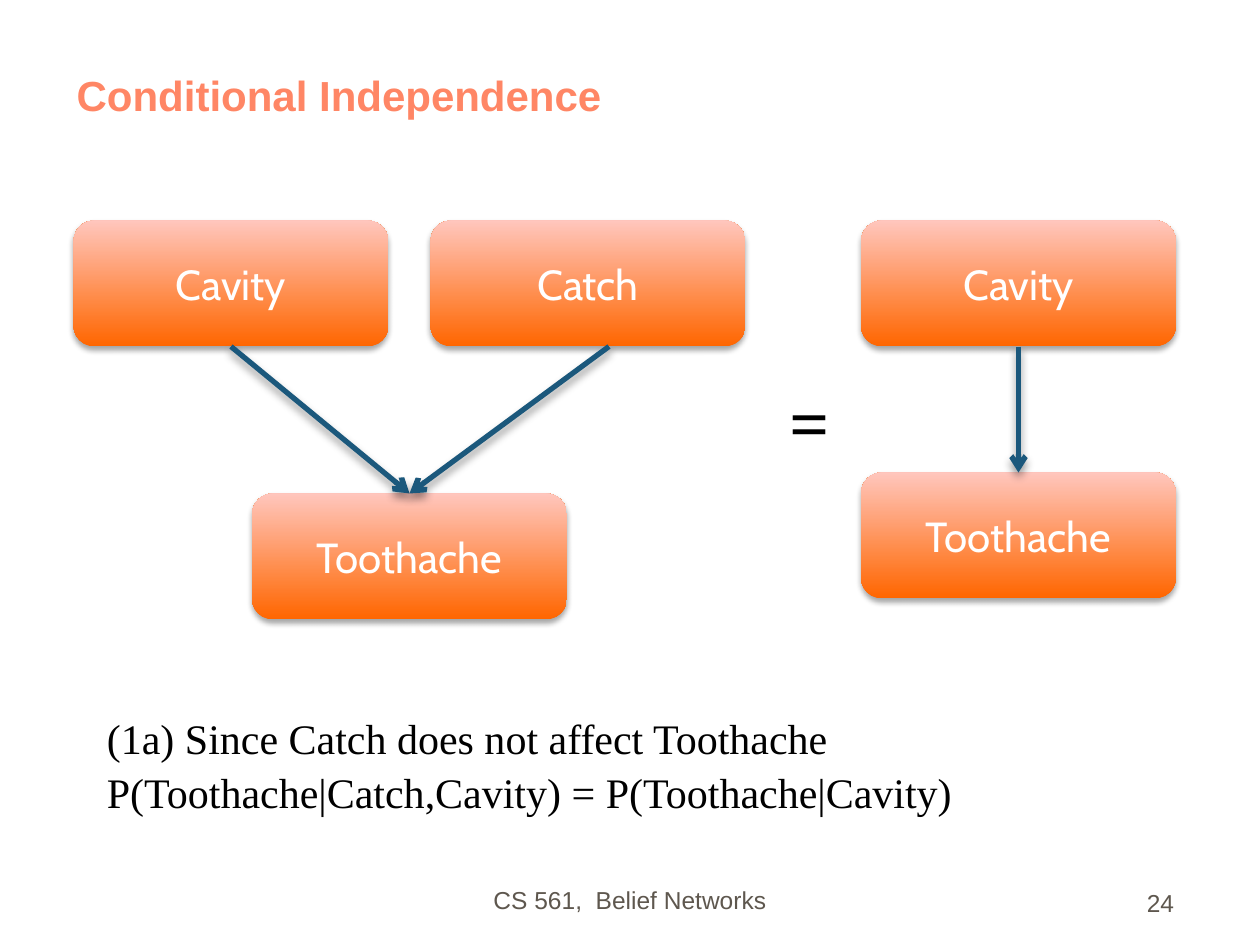
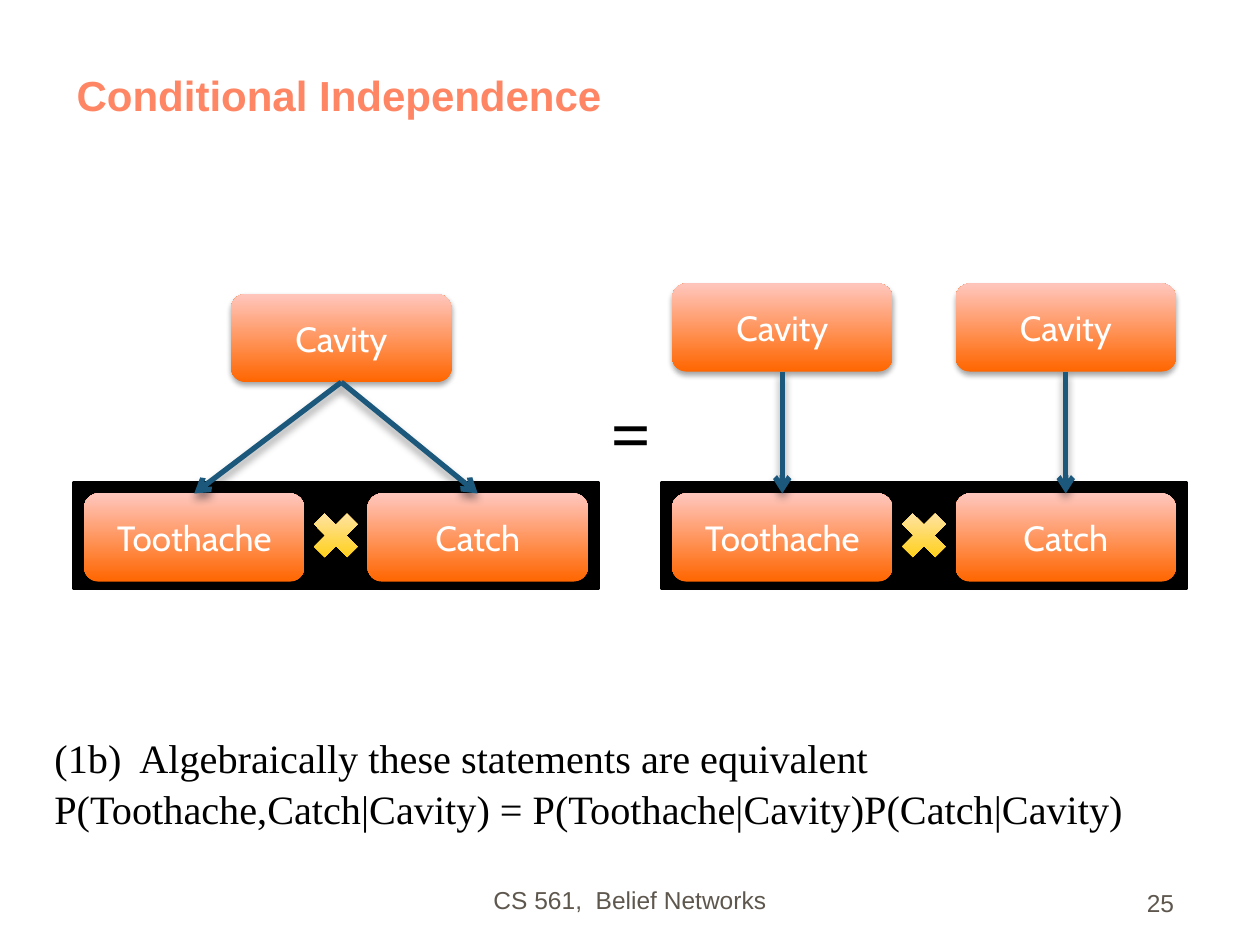
from dataclasses import dataclass

from lxml.etree import SubElement
from pptx import Presentation
from pptx.dml.color import RGBColor
from pptx.enum.shapes import MSO_CONNECTOR as Connector, MSO_SHAPE as Preset
from pptx.enum.text import MSO_ANCHOR as Anchor, PP_ALIGN as Align
from pptx.oxml.ns import qn
from pptx.util import Emu, Pt

PX = 7620  # EMU per px: 120 px to the inch

COLORS = {
    "title": "FF8665",
    "footer": "5E574E",
    "text": "000000",
    "panel": "000000",
    "label": "FFFFFF",
    "arrow": "1B587C",
    "shadow": "000000",
    "node_bottom": "FF6600",
    "node_top": "FFC6BD",
    "times_bottom": "FFCC00",
    "times_top": "FFE7BD",
}
SANS, SERIF, LABEL = "Arial", "Times New Roman", "Cabin"
TITLE = "Conditional Independence"
FOOTER = "CS 561,  Belief Networks"
LINE_SPACING = 1.06


@dataclass(frozen=True)
class Box:
    left: int
    top: int
    width: int
    height: int

    def emu(self) -> list[Emu]:
        return [Emu(n * PX) for n in (self.left, self.top, self.width, self.height)]


@dataclass(frozen=True)
class Style:
    font: str
    size: int
    color: str
    bold: bool = False
    align: Align = Align.LEFT
    spacing: float | None = None


@dataclass(frozen=True)
class NodeKind:
    width: int
    height: int
    size: int


@dataclass(frozen=True)
class Shadow:
    blur: int
    distance: int
    opacity: int


TITLE_STYLE = Style(SANS, 24, "title", bold=True)
EQUALS_STYLE = Style(SERIF, 40, "text", bold=True, spacing=LINE_SPACING)
LARGE = NodeKind(300, 120, 24)
SMALL = NodeKind(210, 84, 20)
SHAPE_SHADOW = Shadow(40000, 23000, 35)
ARROW_SHADOW = Shadow(63500, 38100, 40)


def rgb(name: str) -> RGBColor:
    return RGBColor.from_string(COLORS[name])


def write(frame, lines: list[str], style: Style) -> None:
    frame.text = "\n".join(lines)
    for paragraph in frame.paragraphs:
        paragraph.alignment = style.align
        paragraph.line_spacing = style.spacing
        font = paragraph.font
        font.name, font.size, font.bold = style.font, Pt(style.size), style.bold
        font.color.rgb = rgb(style.color)


def add_text(slide, box: Box, lines: list[str], style: Style,
             anchor: Anchor = Anchor.TOP, wrap: bool = True) -> None:
    frame = slide.shapes.add_textbox(*box.emu()).text_frame
    frame.word_wrap = wrap
    frame.vertical_anchor = anchor
    write(frame, lines, style)


def cast_shadow(shape, shadow: Shadow) -> None:
    """Add a downward shadow; call after fill and line are set."""
    effects = SubElement(shape._element.spPr, qn("a:effectLst"))
    outer = SubElement(effects, qn("a:outerShdw"), blurRad=str(shadow.blur),
                       dist=str(shadow.distance), dir="5400000", rotWithShape="0")
    color = SubElement(outer, qn("a:srgbClr"), val=COLORS["shadow"])
    SubElement(color, qn("a:alpha"), val=str(shadow.opacity * 1000))


def add_glossy(slide, preset: Preset, box: Box, palette: str):
    """Add a borderless shape shaded from the palette's bottom to its top colour."""
    shape = slide.shapes.add_shape(preset, *box.emu())
    shape.fill.gradient()
    shape.fill.gradient_angle = 90
    for stop, end in zip(shape.fill.gradient_stops, ("bottom", "top")):
        stop.color.rgb = rgb(f"{palette}_{end}")
    shape.line.fill.background()
    cast_shadow(shape, SHAPE_SHADOW)
    return shape


def add_node(slide, label: str, left: int, top: int, kind: NodeKind):
    box = Box(left, top, kind.width, kind.height)
    node = add_glossy(slide, Preset.FLOWCHART_ALTERNATE_PROCESS, box, "node")
    write(node.text_frame, [label], Style(LABEL, kind.size, "label", align=Align.CENTER))
    return node


def add_arrow(slide, cause, effect, shift: int = 0) -> None:
    """Point from the bottom of cause, shifted sideways, to the top of effect."""
    start_x = cause.left + cause.width // 2 + shift * PX
    arrow = slide.shapes.add_connector(
        Connector.STRAIGHT, start_x, cause.top + cause.height,
        effect.left + effect.width // 2, effect.top)
    if not shift:
        arrow.begin_connect(cause, 2)
    arrow.end_connect(effect, 0)
    arrow.line.color.rgb = rgb("arrow")
    arrow.line.width = Pt(3)
    SubElement(arrow._element.spPr.find(qn("a:ln")), qn("a:tailEnd"), type="arrow")
    cast_shadow(arrow, ARROW_SHADOW)


def add_equals(slide, left: int, top: int) -> None:
    add_text(slide, Box(left, top, 62, 92), ["="], EQUALS_STYLE, wrap=False)


def add_product(slide, left: int):
    """Draw the black panel holding Toothache times Catch; return both nodes."""
    panel = slide.shapes.add_shape(Preset.RECTANGLE, *Box(left, 460, 500, 100).emu())
    panel.shadow.inherit = False
    panel.fill.solid()
    panel.fill.fore_color.rgb = rgb("panel")
    panel.line.color.rgb = rgb("panel")
    panel.line.width = Pt(2)
    toothache = add_node(slide, "Toothache", left + 10, 470, SMALL)
    catch = add_node(slide, "Catch", left + 280, 470, SMALL)
    add_glossy(slide, Preset.MATH_MULTIPLY, Box(left + 220, 480, 60, 60), "times")
    return toothache, catch


def start_slide(deck, number: int):
    """Add a slide with the shared title, footer and page number."""
    slide = deck.slides.add_slide(deck.slide_layouts[5])
    title = slide.shapes.title
    title.left, title.top, title.width, title.height = Box(61, 30, 1070, 90).emu()
    title.text_frame.vertical_anchor = Anchor.BOTTOM
    write(title.text_frame, [TITLE], TITLE_STYLE)
    for box, text, align in ((Box(410, 817, 380, 60), FOOTER, Align.CENTER),
                             (Box(880, 820, 250, 60), str(number), Align.RIGHT)):
        add_text(slide, box, [text], Style(SANS, 14, "footer", align=align), Anchor.BOTTOM)
    return slide


def build_irrelevant_catch(deck) -> None:
    slide = start_slide(deck, 24)
    cavity = add_node(slide, "Cavity", 70, 210, LARGE)
    catch = add_node(slide, "Catch", 410, 210, LARGE)
    toothache = add_node(slide, "Toothache", 240, 470, LARGE)
    only_cavity = add_node(slide, "Cavity", 820, 210, LARGE)
    same_toothache = add_node(slide, "Toothache", 820, 450, LARGE)
    add_arrow(slide, only_cavity, same_toothache)
    add_arrow(slide, cavity, toothache)
    add_arrow(slide, catch, toothache, shift=20)
    add_equals(slide, 740, 350)
    add_text(slide, Box(90, 670, 1050, 109),
             ["(1a) Since Catch does not affect Toothache",
              "P(Toothache|Catch,Cavity) = P(Toothache|Cavity)"],
             Style(SERIF, 24, "text", spacing=LINE_SPACING))


def build_factored_joint(deck) -> None:
    slide = start_slide(deck, 25)
    joint_effects = add_product(slide, 70)
    separate_effects = add_product(slide, 630)
    shared_cavity = add_node(slide, "Cavity", 220, 280, SMALL)
    for effect in joint_effects:
        add_arrow(slide, shared_cavity, effect)
    for left, effect in zip((640, 910), separate_effects):
        add_arrow(slide, add_node(slide, "Cavity", left, 270, SMALL), effect)
    add_equals(slide, 570, 360)
    add_text(slide, Box(40, 690, 1080, 106),
             ["(1b)  Algebraically these statements are equivalent",
              "P(Toothache,Catch|Cavity) = P(Toothache|Cavity)P(Catch|Cavity)"],
             Style(SERIF, 23, "text", spacing=LINE_SPACING))


def main() -> None:
    deck = Presentation()
    deck.slide_width, deck.slide_height = Emu(1200 * PX), Emu(900 * PX)
    build_irrelevant_catch(deck)
    build_factored_joint(deck)
    deck.save("out.pptx")


if __name__ == "__main__":
    main()
